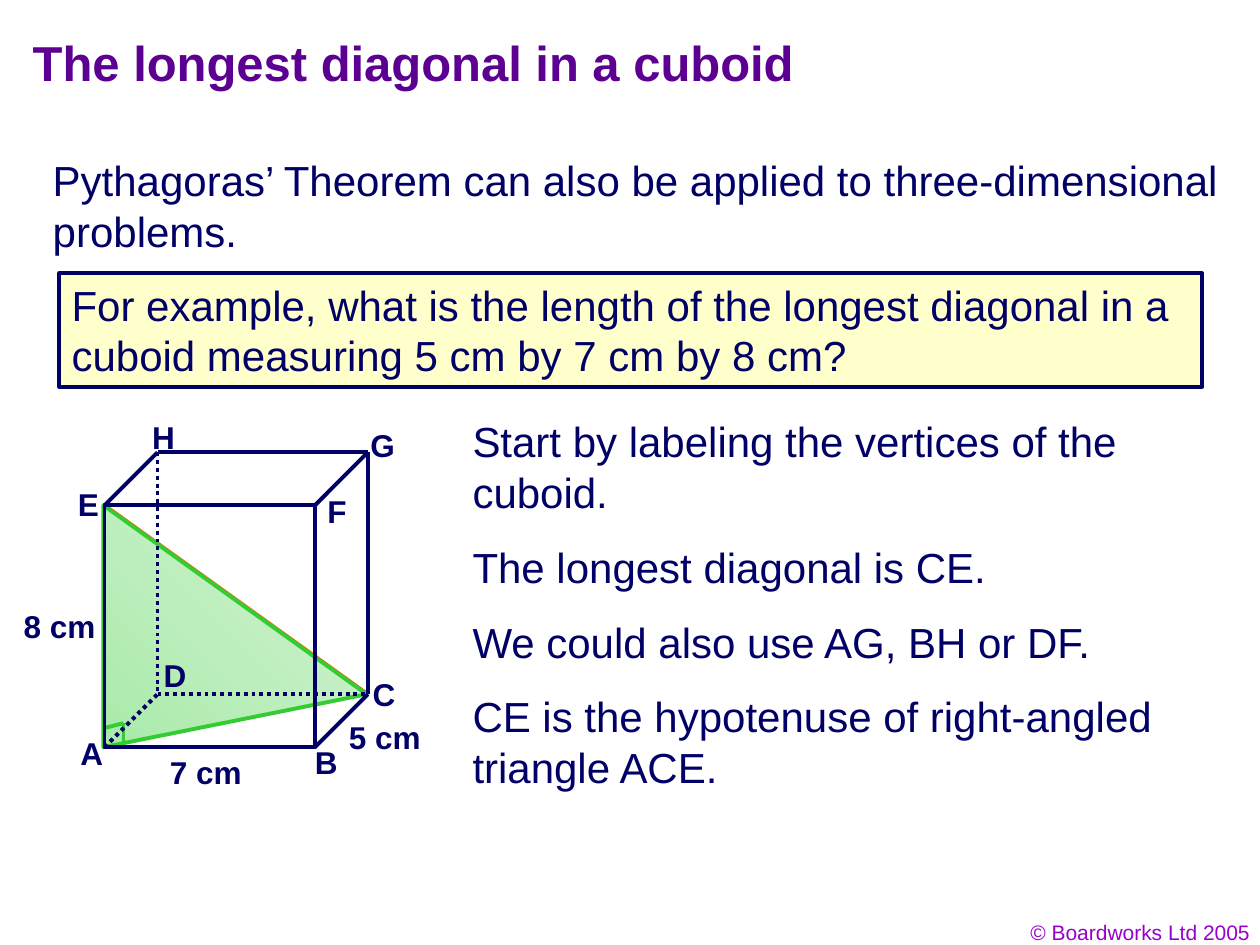
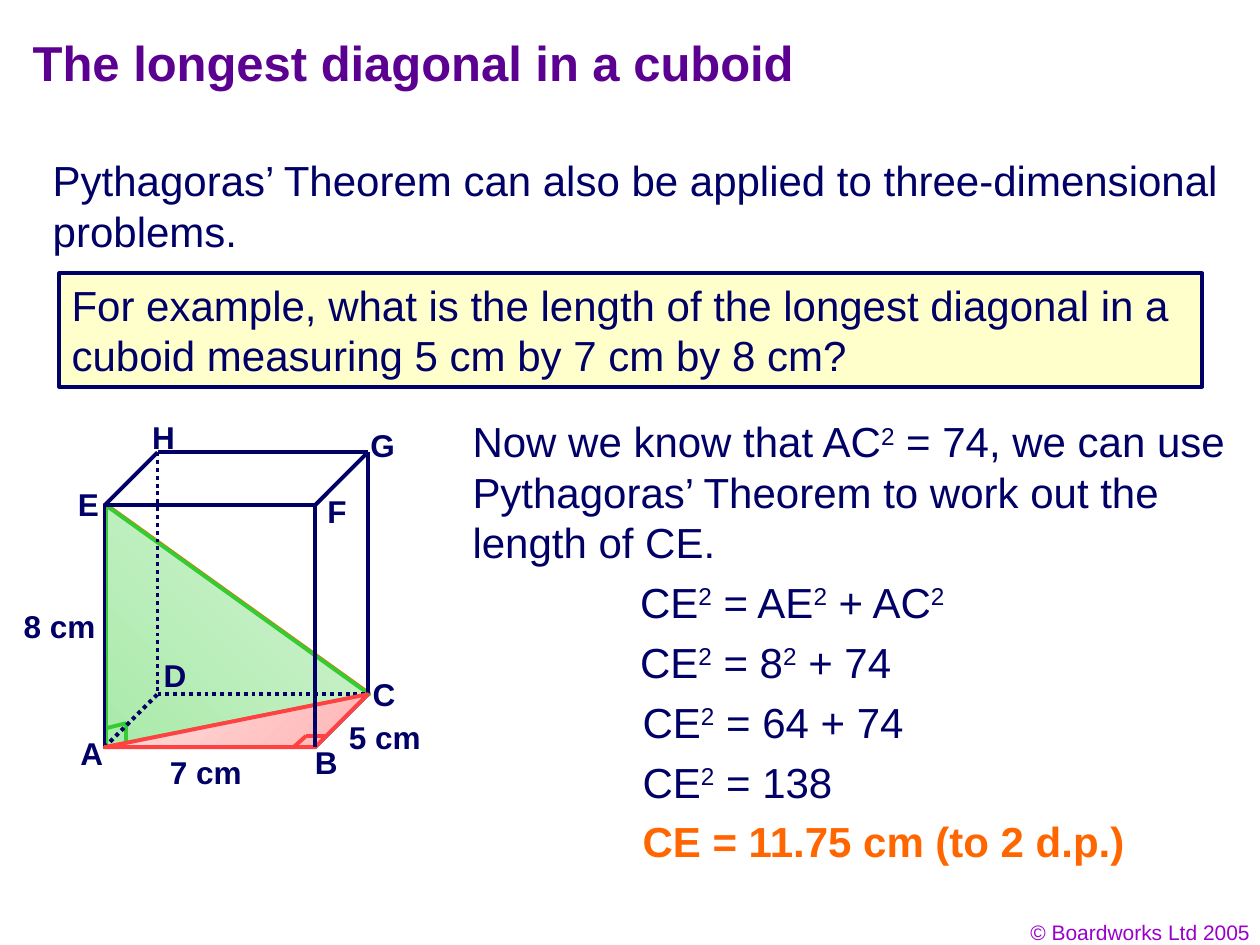
from pptx import Presentation
from pptx.dml.color import RGBColor
from pptx.enum.dml import MSO_LINE
from pptx.enum.shapes import MSO_CONNECTOR, MSO_SHAPE
from pptx.enum.text import MSO_ANCHOR, MSO_AUTO_SIZE, PP_ALIGN
from pptx.oxml.ns import qn
from pptx.util import Inches, Pt
from lxml.etree import SubElement

# Content
TITLE = "The longest diagonal in a cuboid"
INTRO = "Pythagoras’ Theorem can also be applied to three-dimensional problems."
QUESTION = ("For example, what is the length of the longest diagonal in a "
            "cuboid measuring 5 cm by 7 cm by 8 cm?")
FOOTER = "© Boardworks Ltd 2005"
LABELS = {  # text: left, top of its box
    "7 cm": (1.25, 5.93), "5 cm": (2.67, 5.65), "8 cm": (0.09, 4.77),
    "A": (0.54, 5.78), "B": (2.4, 5.85), "C": (2.86, 5.31), "D": (1.2, 5.16),
    "E": (0.52, 3.8), "F": (2.5, 3.86), "G": (2.84, 3.33), "H": (1.11, 3.27),
}
# Body lines: text (^ raises the next character), indent, style
SLIDES = [
    {"shift": -0.01, "gap": 14, "base_triangle": False, "body": [
        ("Start by labeling the vertices of the cuboid.", 0, "body"),
        ("The longest diagonal is CE.", 0, "body"),
        ("We could also use AG, BH or DF.", 0, "body"),
        ("CE is the hypotenuse of right-angled triangle ACE.", 0, "body")]},
    {"shift": 0.01, "gap": 5.4, "base_triangle": True, "body": [
        ("Now we know that AC^2 = 74, we can use Pythagoras’ Theorem "
         "to work out the length of CE.", 0, "body"),
        ("CE^2 = AE^2 + AC^2", 1.33, "body"),
        ("CE^2 = 8^2 + 74", 1.33, "body"),
        ("CE^2 = 64 + 74", 1.35, "body"),
        ("CE^2 = 138", 1.35, "body"),
        ("CE = 11.75 cm (to 2 d.p.)", 1.35, "answer")]},
]

# Shared look
COLORS = {"title": "5B0091", "text": "010066", "edge": "000066", "footer": "9900CC",
          "box": "FFFFCC", "answer": "FF6600", "green": "33CC33", "red": "FF4141"}
GRADIENTS = {"green": ("D4F3D4", "AAEAAA", 225), "red": ("FFB5B5", "FEDEDE", 135)}
STYLES = {
    "title": {"size": Pt(28), "bold": True, "color": "title"},
    "body": {"size": Pt(24), "bold": False, "color": "text"},
    "answer": {"size": Pt(24), "bold": True, "color": "answer"},
    "label": {"size": Pt(18), "bold": True, "color": "text"},
    "footer": {"size": Pt(12), "bold": False, "color": "footer"},
}
LINE = 2.25

# Cuboid vertices: front face ABFE, back face DCGH
LEFT, BASE, WIDTH, HEIGHT, DEPTH = 0.83, 5.93, 1.67, 1.92, 0.42
FRONT = {"A": (0, 0), "B": (1, 0), "F": (1, 1), "E": (0, 1)}
V = {n: (LEFT + i * WIDTH, BASE - j * HEIGHT) for n, (i, j) in FRONT.items()}
V |= {back: (V[front][0] + DEPTH, V[front][1] - DEPTH)
      for front, back in zip("ABFE", "DCGH")}
SOLID_EDGES = ["EH", "FG", "BC", "HG", "GC"]
HIDDEN_EDGES = ["HD", "AD", "DC"]


def rgb(name):
    return RGBColor.from_string(COLORS.get(name, name))


def write(p, text, style):
    for i, part in enumerate(text.split("^")):
        pieces = [(part, False)] if i == 0 else [(part[0], True), (part[1:], False)]
        for piece, raised in pieces:
            if not piece:
                continue
            r = p.add_run()
            r.text, r.font.name = piece, "Arial"
            for key, value in STYLES[style].items():
                if key == "color":
                    r.font.color.rgb = rgb(value)
                else:
                    setattr(r.font, key, value)
            if raised:
                r._r.get_or_add_rPr().set("baseline", "30000")


def place(sp, x, y, w, h):
    for key, value in {"left": x, "top": y, "width": w, "height": h}.items():
        setattr(sp, key, Inches(value))


def set_frame(sp, anchor=MSO_ANCHOR.TOP, wrap=True):
    tf = sp.text_frame
    for key, value in {"word_wrap": wrap, "auto_size": MSO_AUTO_SIZE.NONE,
                       "vertical_anchor": anchor}.items():
        setattr(tf, key, value)
    return tf


def add_text(s, text, style, x, y, w, h, align=PP_ALIGN.LEFT, wrap=True):
    sp = s.shapes.add_textbox(*map(Inches, (x, y, w, h)))
    p = set_frame(sp, wrap=wrap).paragraphs[0]
    p.alignment = align
    write(p, text, style)


def set_line(sp, color, width=LINE):
    sp.line.color.rgb, sp.line.width = rgb(color), Pt(width)


def add_path(s, points, color, width=LINE, dotted=False):
    for start, end in zip(points, points[1:]):
        c = s.shapes.add_connector(MSO_CONNECTOR.STRAIGHT, *map(Inches, start + end))
        set_line(c, color, width)
        if dotted:
            c.line.dash_style = MSO_LINE.ROUND_DOT
        SubElement(c._element.spPr, qn("a:effectLst"))


def add_triangle(s, points, color):
    first, *rest = [tuple(map(Inches, pt)) for pt in points]
    builder = s.shapes.build_freeform(*first)
    builder.add_line_segments(rest, close=True)
    sp = builder.convert_to_shape()
    sp.shadow.inherit = False
    set_line(sp, color)
    *stops, angle = GRADIENTS[color]
    sp.fill.gradient()
    sp.fill.gradient_angle = angle
    for position, (stop, value) in enumerate(zip(sp.fill.gradient_stops, stops)):
        stop.position, stop.color.rgb = position, rgb(value)


def add_rect(s, x, y, w, h):
    sp = s.shapes.add_shape(MSO_SHAPE.RECTANGLE, *map(Inches, (x, y, w, h)))
    sp.shadow.inherit = False
    set_line(sp, "edge")
    return sp


def offset(point, *steps):
    return [(point[0] + dx, point[1] + dy) for dx, dy in steps]


def add_cuboid(s, shift):
    # Diagonal, triangle ACE and its right angle
    a, c, e = [offset(V[n], (shift, 0))[0] for n in "ACE"]
    add_path(s, [e, c], "answer", 3)
    add_triangle(s, [e, a, c], "green")
    add_path(s, offset(a, (0, -0.15), (0.16, -0.19), (0.16, -0.04)), "green")
    # Edges and labels
    add_rect(s, *V["E"], WIDTH, HEIGHT).fill.background()
    for edges, dotted in ((SOLID_EDGES, False), (HIDDEN_EDGES, True)):
        for edge in edges:
            add_path(s, [V[n] for n in edge], "edge", dotted=dotted)
    for text, (x, y) in LABELS.items():
        add_text(s, text, "label", x, y, 0.77 if len(text) > 1 else 0.38, 0.4, wrap=False)


def add_base_triangle(s):
    add_triangle(s, [V[n] for n in "ACB"], "red")
    add_path(s, offset(V["B"], (-0.17, 0), (-0.07, -0.09), (0.09, -0.09)), "red")
    add_path(s, offset(V["B"], (0, -0.37), (0, 0)), "edge")


def fill_body(sp, lines, gap):
    place(sp, 3.65, 3.25, 6.27, 3.7)
    tf = set_frame(sp)
    for i, (text, indent, style) in enumerate(lines):
        p = tf.add_paragraph() if i else tf.paragraphs[0]
        p.space_before = Pt(gap if i else 0)
        pPr = p._p.get_or_add_pPr()
        pPr.set("marL", str(Inches(indent)))
        pPr.set("indent", "0")
        SubElement(pPr, qn("a:buNone"))
        write(p, text, style)


def add_slide(prs, content):
    s = prs.slides.add_slide(prs.slide_layouts[1])
    title, body = s.placeholders
    # Title and footer
    place(title, 0.16, 0.16, 8.5, 0.67)
    p = set_frame(title, MSO_ANCHOR.MIDDLE).paragraphs[0]
    p.alignment = PP_ALIGN.LEFT
    write(p, TITLE, "title")
    add_text(s, FOOTER, "footer", 7.69, 7.25, 2.33, 0.3, PP_ALIGN.RIGHT)
    # Introduction and question box
    add_text(s, INTRO, "body", 0.32, 1.18, 9.48, 0.9)
    box = add_rect(s, 0.47, 2.17, 9.07, 0.9)
    box.fill.solid()
    box.fill.fore_color.rgb = rgb("box")
    p = set_frame(box).paragraphs[0]
    p.alignment = PP_ALIGN.LEFT
    write(p, QUESTION, "body")
    # Figure and explanation
    add_cuboid(s, content["shift"])
    if content["base_triangle"]:
        add_base_triangle(s)
    fill_body(body, content["body"], content["gap"])


def main():
    prs = Presentation()
    prs.slide_width, prs.slide_height = Inches(10), Inches(7.5)
    for content in SLIDES:
        add_slide(prs, content)
    prs.save("out.pptx")


if __name__ == "__main__":
    main()
